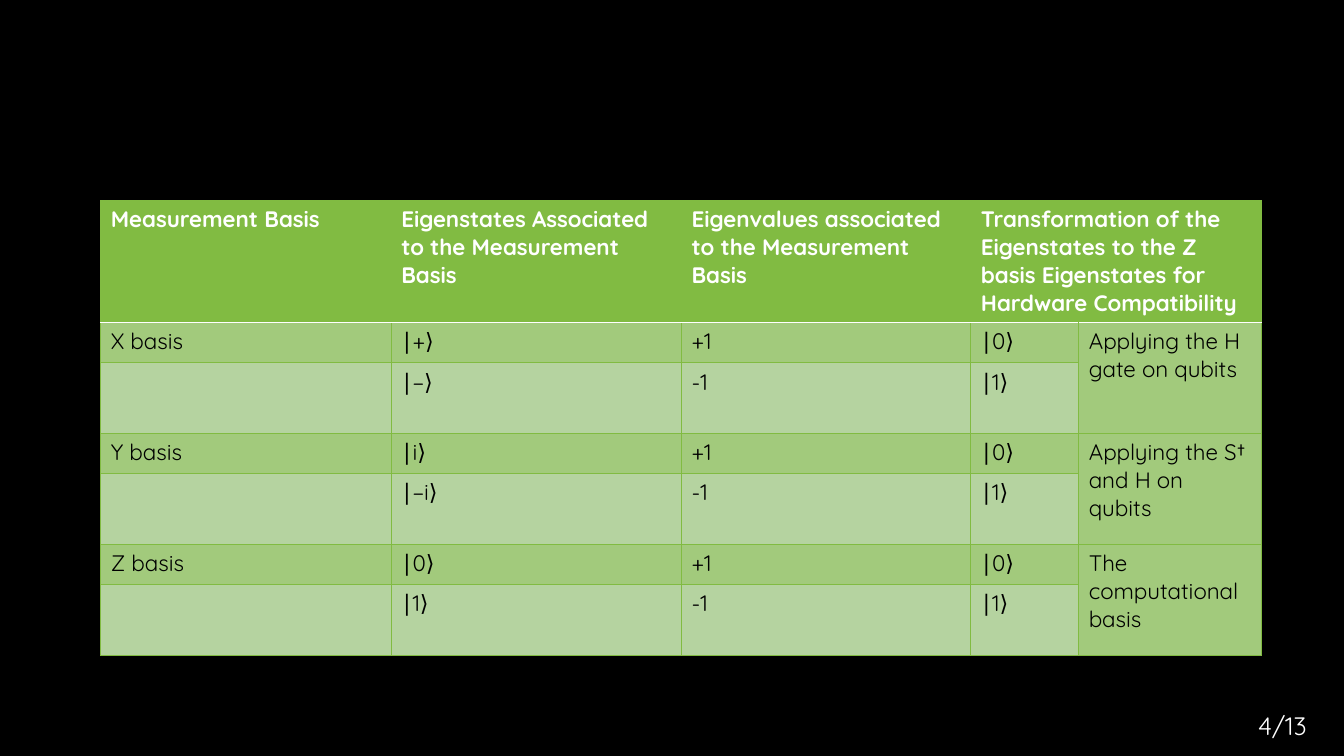
"""Build a slide with a table of measurement bases, eigenstates and eigenvalues."""
import dataclasses

import pptx
import pptx.dml.color
import pptx.enum.text
import pptx.oxml
import pptx.oxml.ns
import pptx.util

Inches = pptx.util.Inches


@dataclasses.dataclass(frozen=True)
class Theme:
    """Colours, font and type sizes of the slide."""
    background: str = "000000"
    light: str = "FFFFFF"
    dark: str = "000000"
    green: str = "81BB42"
    band: str = "A2CA7C"
    pale: str = "B5D3A0"
    font: str = "Quicksand"
    table_size: int = 16
    number_size: int = 18
    border: float = 0.75
    header_border: float = 1


def colour(value):
    """Turn a hexadecimal string into a colour."""
    return pptx.dml.color.RGBColor.from_string(value)


def write_text(text_frame, text, *, font, size, color, bold=False):
    """Write text into the first paragraph with the given format."""
    paragraph = text_frame.paragraphs[0]
    paragraph.font.size = pptx.util.Pt(size)
    if text:
        run = paragraph.add_run()
        run.text = text
        run.font.name = font
        run.font.size = pptx.util.Pt(size)
        run.font.bold = bold
        run.font.color.rgb = colour(color)


class SlideBuilder:
    """Hold the theme and the current slide, and add elements to it."""

    def __init__(self, slide, theme):
        """Keep the slide and paint its background."""
        self.slide = slide
        self.theme = theme
        slide.background.fill.solid()
        slide.background.fill.fore_color.rgb = colour(theme.background)

    def add_border(self, cell, side, color, width):
        """Draw one side of a cell."""
        namespace = pptx.oxml.ns.nsdecls("a")
        cell._tc.get_or_add_tcPr().append(pptx.oxml.parse_xml(
            f'<a:ln{side} {namespace} w="{int(pptx.util.Pt(width))}"><a:solidFill>'
            f'<a:srgbClr val="{color}"/></a:solidFill></a:ln{side}>'))

    def format_cell(self, cell, row, column, last_column):
        """Give a cell its borders and fill."""
        theme = self.theme
        white_side = {0: "B", 1: "T"}.get(row)
        for side in "LRTB":
            if side == white_side:
                self.add_border(cell, side, theme.light, theme.header_border)
            else:
                self.add_border(cell, side, theme.green, theme.border)
        cell.fill.solid()
        if row == 0:
            fill = theme.green
        elif row % 2 or column == last_column:
            fill = theme.band
        else:
            fill = theme.pale
        cell.fill.fore_color.rgb = colour(fill)

    def add_table(self, left, top, widths, heights, rows, merges):
        """Add a table and merge the given pairs of cells."""
        theme = self.theme
        table = self.slide.shapes.add_table(
            len(heights), len(widths), Inches(left), Inches(top),
            Inches(sum(widths)), Inches(sum(heights))).table
        table.horz_banding = False
        for column, width in zip(table.columns, widths):
            column.width = Inches(width)
        for row, height in zip(table.rows, heights):
            row.height = Inches(height)
        for row, texts in enumerate(rows):
            for column, text in enumerate(texts):
                cell = table.cell(row, column)
                self.format_cell(cell, row, column, len(widths) - 1)
                write_text(cell.text_frame, text, font=theme.font,
                           size=theme.table_size, bold=row == 0,
                           color=theme.dark if row else theme.light)
        for first, last in merges:
            table.cell(*first).merge(table.cell(*last))

    def add_page_number(self, text, left, top, width, height):
        """Add the page number as a text box."""
        text_frame = self.slide.shapes.add_textbox(
            Inches(left), Inches(top), Inches(width), Inches(height)).text_frame
        text_frame.word_wrap = False
        text_frame.auto_size = pptx.enum.text.MSO_AUTO_SIZE.SHAPE_TO_FIT_TEXT
        write_text(text_frame, text, font=self.theme.font,
                   size=self.theme.number_size, color=self.theme.light)


HEADINGS = [
    "Measurement Basis",
    "Eigenstates Associated to the Measurement Basis",
    "Eigenvalues associated to the Measurement Basis",
    "Transformation of the Eigenstates to the Z basis Eigenstates for Hardware Compatibility",
    "",
]
BASES = [
    ("X basis", "∣+⟩", "∣−⟩", "Applying the H gate on qubits"),
    ("Y basis", "∣i⟩", "∣−i⟩", "Applying the S† and H on qubits"),
    ("Z basis", "∣0⟩", "∣1⟩", "The computational basis"),
]


def main():
    """Build the slide and save it."""
    presentation = pptx.Presentation()
    presentation.slide_width = Inches(13.33)
    presentation.slide_height = Inches(7.5)
    slide = presentation.slides.add_slide(presentation.slide_layouts[6])
    builder = SlideBuilder(slide, Theme())

    rows = [HEADINGS]
    merges = [((0, 3), (0, 4))]
    for basis, plus_state, minus_state, transformation in BASES:
        merges.append(((len(rows), 4), (len(rows) + 1, 4)))
        rows.append([basis, plus_state, "+1", "∣0⟩", transformation])
        rows.append(["", minus_state, "-1", "∣1⟩", ""])
    builder.add_table(1, 1.99, [2.88, 2.88, 2.87, 1.07, 1.81],
                      [1.2] + [0.4, 0.7] * len(BASES), rows, merges)
    builder.add_page_number("4/13", 12.38, 7, 0.73, 0.4)
    presentation.save("out.pptx")


if __name__ == "__main__":
    main()
